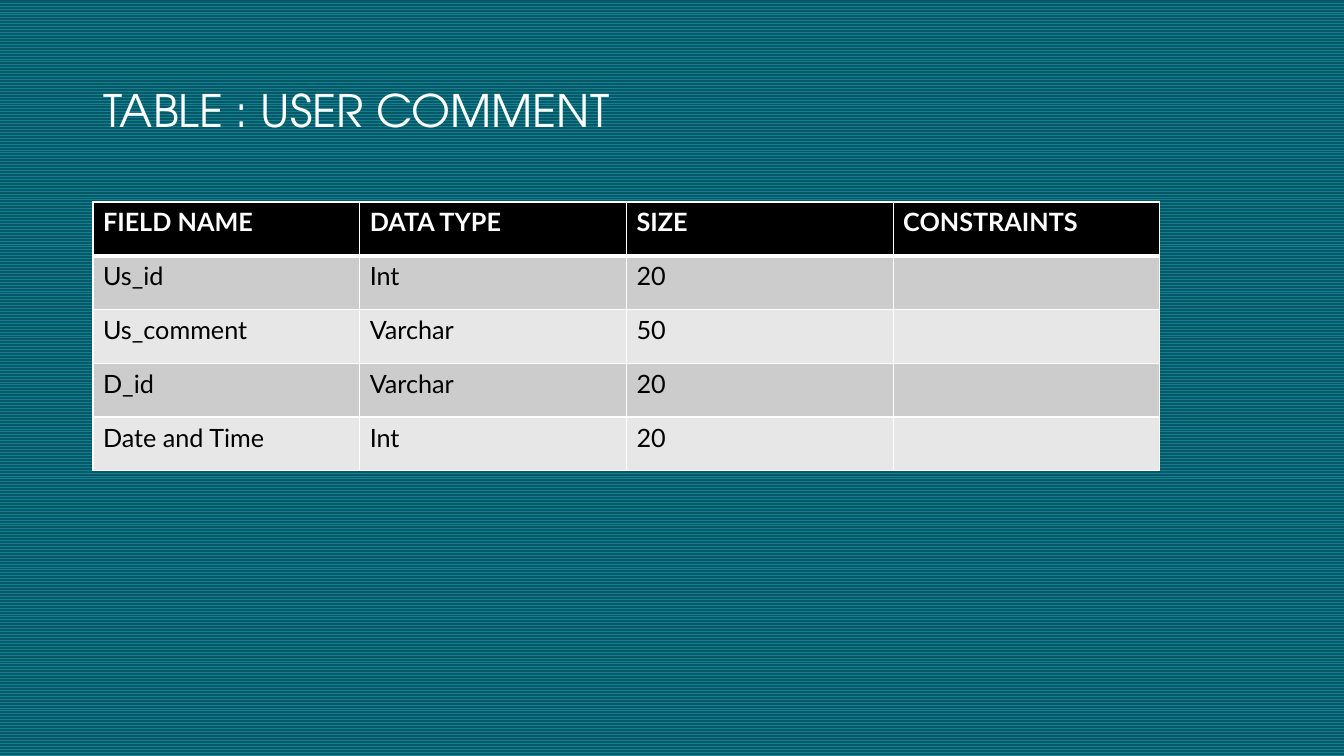
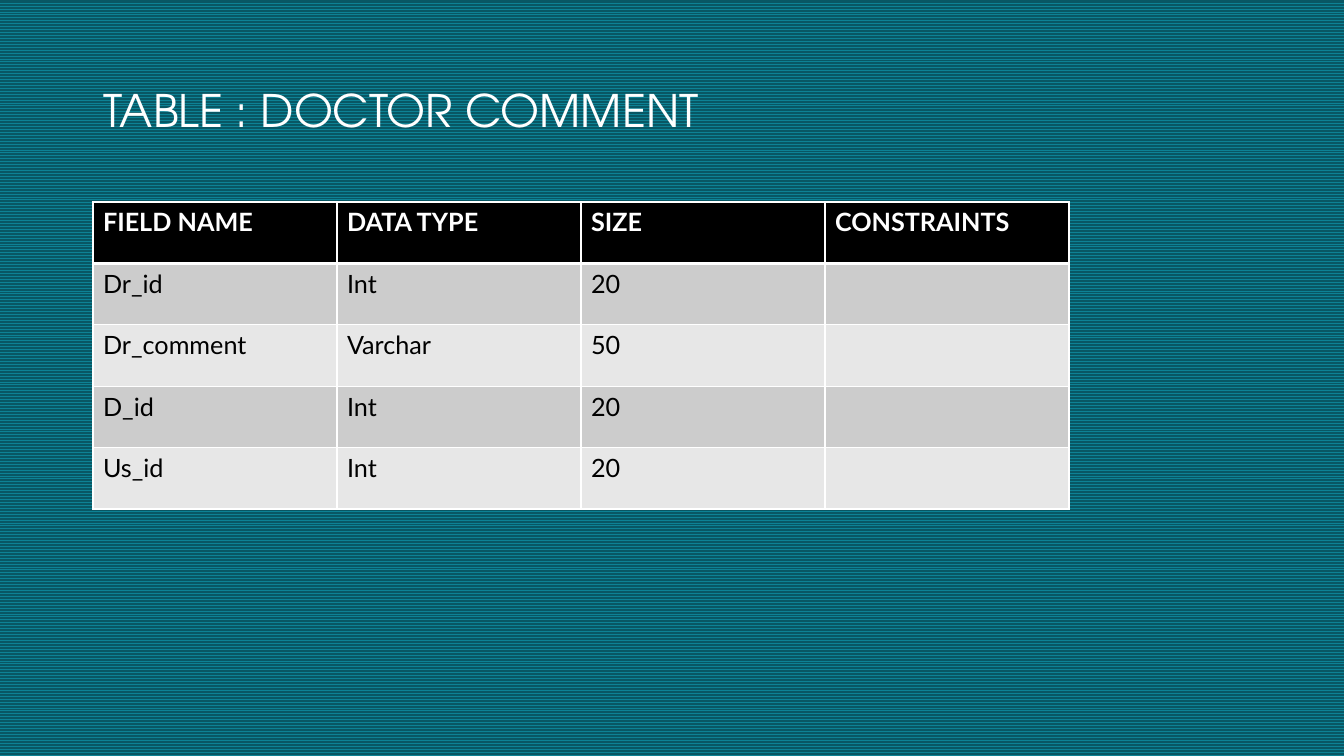
from lxml.etree import SubElement
from pptx import Presentation
from pptx.dml.color import RGBColor
from pptx.enum.dml import MSO_PATTERN
from pptx.enum.text import MSO_ANCHOR, MSO_AUTO_SIZE, PP_ALIGN
from pptx.oxml.ns import qn
from pptx.util import Emu, Pt

WHITE = RGBColor(0xFF, 0xFF, 0xFF)
BLACK = RGBColor(0x00, 0x00, 0x00)
TEAL = RGBColor(0x0D, 0x82, 0x95)
DARK_TEAL = RGBColor(0x08, 0x57, 0x64)
DARK_BAND = RGBColor(0xCC, 0xCC, 0xCC)
LIGHT_BAND = RGBColor(0xE7, 0xE7, 0xE7)

TITLE_FONT = {"name": "TeX Gyre Adventor", "size": Pt(32), "color": WHITE}
HEAD_FONT = {"name": "Lato", "size": Pt(18), "bold": True, "color": WHITE}
BODY_FONT = {**HEAD_FONT, "bold": False, "color": BLACK}

TITLE_BOX = (93, 40, 1159, 146)
TABLE_LEFT, TABLE_TOP = 93, 202
HEADINGS = ("FIELD NAME", "DATA TYPE", "SIZE", "CONSTRAINTS")


def px(n):
    """Turn pixels into EMU."""
    return Emu(round(n * 914400 / 100.8))


def style(font, formats):
    """Set the attributes of a font from a dict."""
    for name, value in formats.items():
        if name == "color":
            font.color.rgb = value
        else:
            setattr(font, name, value)


def add_background(master):
    """Give every slide the zigzag background."""
    fill = master.background.fill
    fill.patterned()
    fill.pattern = MSO_PATTERN.ZIG_ZAG
    fill.fore_color.rgb = TEAL
    fill.back_color.rgb = DARK_TEAL


def add_title(s, text, box):
    """Place and format the title placeholder."""
    sp = s.shapes.title
    for name, value in zip(("left", "top", "width", "height"), box):
        setattr(sp, name, px(value))
    tf = sp.text_frame
    tf.text = text
    for name, value in {"word_wrap": True, "auto_size": MSO_AUTO_SIZE.NONE,
                        "vertical_anchor": MSO_ANCHOR.MIDDLE}.items():
        setattr(tf, name, value)
    p = tf.paragraphs[0]
    p.alignment = PP_ALIGN.LEFT
    p.line_spacing = 0.9
    style(p.runs[0].font, TITLE_FONT)


def add_borders(cell, widths):
    """Draw white borders with a width in points for each side."""
    tc_pr = cell._tc.get_or_add_tcPr()
    for side, width in widths.items():
        ln = SubElement(tc_pr, qn(f"a:ln{side}"), w=str(Pt(width)))
        fill = SubElement(ln, qn("a:solidFill"))
        SubElement(fill, qn("a:srgbClr"), val=str(WHITE))


def add_field_table(s, fields, box):
    """Fill the box with a heading row and one row for each field."""
    rows = [HEADINGS, *fields]
    left, top, width, height = box
    table = s.shapes.add_table(len(rows), len(HEADINGS), *map(px, box)).table
    for column in table.columns:
        column.width = px(width / len(HEADINGS))
    for i, values in enumerate(rows):
        table.rows[i].height = px(height / len(rows))
        if i == 0:
            color, font = BLACK, HEAD_FONT
        else:
            color, font = DARK_BAND if i % 2 else LIGHT_BAND, BODY_FONT
        widths = {"L": 1, "R": 1, "T": 3 if i == 1 else 1, "B": 3 if i == 0 else 1}
        for j, cell in enumerate(table.rows[i].cells):
            add_borders(cell, widths)
            cell.fill.solid()
            cell.fill.fore_color.rgb = color
            p = cell.text_frame.paragraphs[0]
            style(p.font, font)
            if j < len(values):
                r = p.add_run()
                r.text = values[j]
                style(r.font, font)


def add_table_slide(prs, title, fields, width, height):
    """Add a slide with a title and a table of fields."""
    s = prs.slides.add_slide(prs.slide_layouts.get_by_name("Title Only"))
    add_title(s, title, TITLE_BOX)
    add_field_table(s, fields, (TABLE_LEFT, TABLE_TOP, width, height))


prs = Presentation()
prs.slide_width, prs.slide_height = px(1344), px(756)
add_background(prs.slide_master)
add_table_slide(prs, "TABLE : USER COMMENT", [
    ("Us_id", "Int", "20"),
    ("Us_comment", "Varchar", "50"),
    ("D_id", "Varchar", "20"),
    ("Date and Time", "Int", "20"),
], 1067, 269)
add_table_slide(prs, "TABLE : DOCTOR COMMENT", [
    ("Dr_id", "Int", "20"),
    ("Dr_comment", "Varchar", "50"),
    ("D_id", "Int", "20"),
    ("Us_id", "Int", "20"),
], 976, 307)
prs.save("out.pptx")
